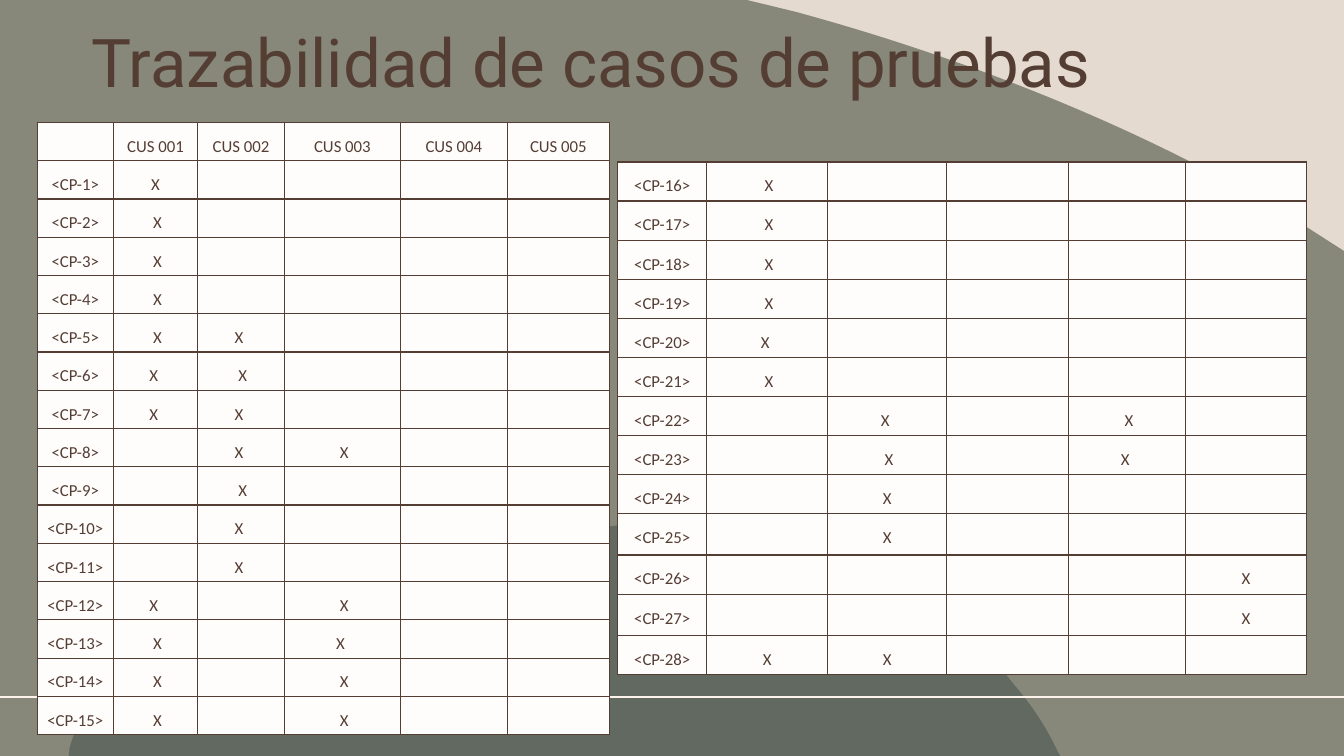
"""Build the test case traceability slide."""
from lxml.etree import Element, SubElement
from pptx import Presentation
from pptx.dml.color import RGBColor
from pptx.enum.shapes import MSO_CONNECTOR as Connector
from pptx.enum.text import MSO_ANCHOR as Anchor, PP_ALIGN as Align
from pptx.oxml.ns import qn
from pptx.util import Pt

TITLE = "Trazabilidad de casos de pruebas"
HEADER = ["", "CUS 001", "CUS 002", "CUS 003", "CUS 004", "CUS 005"]
BROWN, CREAM, SAND, PAPER = "543E34", "FEF3ED", "E5DACF", "FFFDFC"

FIRST_MARKS = [
    {1: "X"}, {1: " X"}, {1: " X"}, {1: " X"},
    {1: " X", 2: "X "}, {1: "X ", 2: " X"}, {1: "X ", 2: "X "},
    {2: "X ", 3: " X"}, {2: " X"}, {2: "X "}, {2: "X "},
    {1: "X ", 3: " X"}, {1: " X", 3: "X "}, {1: " X", 3: " X"}, {1: " X", 3: " X"},
]
SECOND_MARKS = [
    {1: " X"}, {1: " X"}, {1: " X"}, {1: " X"}, {1: "X "}, {1: " X"},
    {2: "X ", 4: " X"}, {2: " X", 4: "X "}, {2: "X"}, {2: "X"},
    {5: "X"}, {5: "X"}, {1: "X", 2: "X"},
]
FIRST_COLUMNS = [54.6, 60, 62.1, 82.9, 76.4, 72.9]
SECOND_COLUMNS = [63.6, 86.4, 85, 87.1, 83.6, 86.4]
FIRST_HEIGHTS = [27.34] * 16
SECOND_HEIGHTS = [27.93] * 9 + [29.5, 27.93, 29.5, 27.93]

HILL = [
    (493.2, 372.2),
    (535.7, 372.2, 575.3, 380.2, 615.6, 399.6),
    (669.6, 426.2, 704.9, 463.7, 723.6, 488.2),
    (733.7, 499.7, 745.9, 516.2, 755.3, 536.4),
    (757.4, 540), (49, 540), (49.7, 534.2),
    (51.1, 529.2, 52.6, 524.9, 54.7, 519.8),
    (67, 489.6, 97.2, 460.1, 231.8, 423.4),
    (340.6, 393.8, 421.9, 371.5, 493.2, 372.2),
]
FIELD = [
    (0, 0), (533.5, 0), (568.8, 8.6),
    (700.6, 44.6, 822.2, 95, 925.2, 157),
    (960, 179.3), (960, 540), (0, 540),
]


def color(value):
    return RGBColor.from_string(value)


def apply(target, values):
    for name, value in values.items():
        setattr(target, name, value)


def bend(shape, outline):
    lines = list(shape.element.iter(qn("a:lnTo")))
    for line, segment in zip(lines, outline[1:]):
        if len(segment) == 2:
            continue
        curve = Element(qn("a:cubicBezTo"))
        for x, y in zip(segment[::2], segment[1::2]):
            SubElement(curve, qn("a:pt"), x=str(Pt(x) - shape.left), y=str(Pt(y) - shape.top))
        line.getparent().replace(line, curve)


def add_backdrop(slide, outline, fill, opacity):
    corners = [(Pt(segment[-2]), Pt(segment[-1])) for segment in outline]
    builder = slide.shapes.build_freeform(*corners[0])
    builder.add_line_segments(corners[1:], close=True)
    shape = builder.convert_to_shape()
    bend(shape, outline)
    shape.shadow.inherit = False
    shape.line.fill.background()
    shape.fill.solid()
    shape.fill.fore_color.rgb = color(fill)
    tint = shape.element.spPr.find(".//" + qn("a:srgbClr"))
    SubElement(tint, qn("a:alpha"), val=str(opacity * 1000))


def write(paragraph, text, layout, size, font):
    apply(paragraph, layout)
    run = paragraph.add_run()
    run.text = text
    apply(run.font, {"size": Pt(size), "name": font})
    run.font.color.rgb = color(BROWN)


def format_cell(cell, text):
    inset = Pt(2.65)
    apply(cell, {f"margin_{side}": inset for side in ("left", "right", "top", "bottom")})
    properties = cell._tc.get_or_add_tcPr()
    for side in "LRTB":
        border = SubElement(properties, qn(f"a:ln{side}"), w=str(Pt(1)))
        fill = SubElement(border, qn("a:solidFill"))
        SubElement(fill, qn("a:srgbClr"), val=BROWN)
    cell.fill.solid()
    cell.fill.fore_color.rgb = color(PAPER)
    if text:
        layout = {"alignment": Align.CENTER, "line_spacing": 1.5, "space_after": Pt(8)}
        write(cell.text_frame.paragraphs[0], text, layout, 12, "Calibri")


def add_matrix(slide, left, top, widths, heights, rows):
    frame = slide.shapes.add_table(
        len(rows), len(widths), Pt(left), Pt(top), Pt(sum(widths)), Pt(sum(heights)))
    table = frame.table
    apply(table, {"first_row": False, "horz_banding": False})
    for column, width in zip(table.columns, widths):
        column.width = Pt(width)
    for row, height, texts in zip(table.rows, heights, rows):
        row.height = Pt(height)
        for cell, text in zip(row.cells, texts):
            format_cell(cell, text)


def case_rows(first_number, marks):
    return [[f"<CP-{number}>"] + [row.get(column, "") for column in range(1, len(HEADER))]
            for number, row in enumerate(marks, first_number)]


def main():
    presentation = Presentation()
    apply(presentation, {"slide_width": Pt(960), "slide_height": Pt(540)})
    slide = presentation.slides.add_slide(presentation.slide_layouts[5])
    slide.background.fill.solid()
    slide.background.fill.fore_color.rgb = color(SAND)

    add_backdrop(slide, HILL, "5D6A76", 73)
    add_backdrop(slide, FIELD, "4E5745", 62)
    rule = slide.shapes.add_connector(Connector.STRAIGHT, 0, Pt(498), Pt(960), Pt(498))
    rule.line.width = Pt(1.25)
    rule.line.color.rgb = color(CREAM)
    SubElement(rule._element.spPr, qn("a:effectLst"))

    title = slide.shapes.title
    slide.shapes._spTree.append(title._element)
    apply(title, {"left": Pt(58), "top": Pt(20), "width": Pt(828), "height": Pt(53.3)})
    apply(title.text_frame, {"vertical_anchor": Anchor.MIDDLE, "word_wrap": True})
    write(title.text_frame.paragraphs[0], TITLE,
          {"alignment": Align.LEFT, "line_spacing": 0.9}, 48, "Roboto")

    add_matrix(slide, 441.2, 115.7, SECOND_COLUMNS, SECOND_HEIGHTS,
               case_rows(16, SECOND_MARKS))
    add_matrix(slide, 26.5, 87.5, FIRST_COLUMNS, FIRST_HEIGHTS,
               [HEADER] + case_rows(1, FIRST_MARKS))
    presentation.save("out.pptx")


if __name__ == "__main__":
    main()
